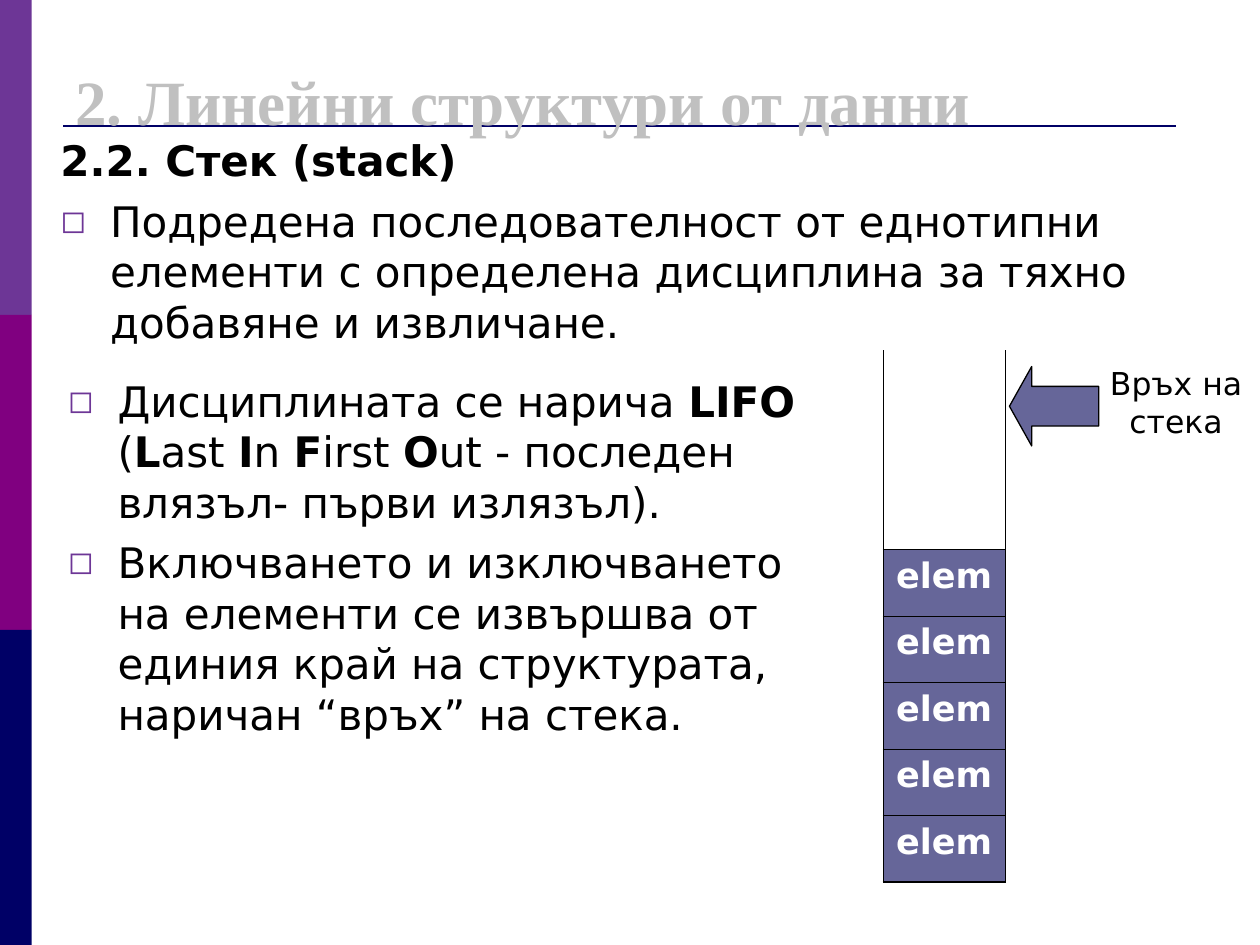
from lxml.etree import SubElement
from pptx import Presentation
from pptx.dml.color import RGBColor
from pptx.enum.shapes import MSO_CONNECTOR, MSO_SHAPE
from pptx.enum.text import PP_ALIGN
from pptx.oxml.ns import qn
from pptx.util import Cm, Pt

PURPLE = RGBColor(0x6D, 0x36, 0x96)
MAGENTA = RGBColor(0x80, 0x00, 0x80)
NAVY = RGBColor(0x00, 0x00, 0x66)
SILVER = RGBColor(0xC0, 0xC0, 0xC0)
SLATE = RGBColor(0x66, 0x66, 0x99)
BLACK = RGBColor(0, 0, 0)
WHITE = RGBColor(0xFF, 0xFF, 0xFF)

BODY_FONT = "DejaVu Sans"
NO_TABLE_STYLE = "{2D5ABB26-0587-4C30-8999-92F81FD0307C}"

TITLE = "2. Линейни структури от данни"
HEADING = "**2.2. Стек (stack)**"
DEFINITION = ("Подредена последователност от еднотипни елементи "
              "с определена дисциплина за тяхно добавяне и извличане.")
DISCIPLINE = [
    "Дисциплината се нарича **LIFO** (**L**ast **I**n **F**irst **O**ut"
    " - последен влязъл- първи излязъл).",
    "Включването и изключването на елементи се извършва от единия край "
    "на структурата, наричан “връх” на стека.",
]
STACK = ["", "", "", "elem", "elem", "elem", "elem", "elem"]
TOP_LABEL = ["Връх на", "стека"]
SIDEBAR = [PURPLE, MAGENTA, NAVY]

SLIDE_W, SLIDE_H = 25.4, 19.05
SIDEBAR_W = 0.64
HANG = 1.0
ROW_H = 1.34


def style(run, size, color, bold=False, font=BODY_FONT):
    run.font.size = Pt(size)
    run.font.color.rgb = color
    run.font.bold = bold
    run.font.name = font


def add_text_box(slide, left, top, width, height, wrap=True):
    frame = slide.shapes.add_textbox(Cm(left), Cm(top), Cm(width), Cm(height)).text_frame
    frame.word_wrap = wrap
    return frame


def add_paragraphs(frame, lines, size, bullets=(), space_before=0, align=PP_ALIGN.LEFT):
    for index, line in enumerate(lines):
        paragraph = frame.add_paragraph() if index else frame.paragraphs[0]
        paragraph.alignment = align
        paragraph.space_before = Pt(space_before)
        for part, words in enumerate(line.split("**")):
            if words:
                run = paragraph.add_run()
                run.text = words
                style(run, size, BLACK, bold=part % 2 == 1)
        if index in bullets:
            add_bullet(paragraph)


def add_bullet(paragraph):
    properties = paragraph._p.get_or_add_pPr()
    properties.set("marL", str(Cm(HANG)))
    properties.set("indent", str(-Cm(HANG)))
    color = SubElement(properties, qn("a:buClr"))
    SubElement(color, qn("a:srgbClr"), val=str(PURPLE))
    SubElement(properties, qn("a:buSzPct"), val="75000")
    SubElement(properties, qn("a:buFont"), typeface=BODY_FONT)
    SubElement(properties, qn("a:buChar"), char="◻")


def add_block(slide, preset, left, top, width, height, color):
    block = slide.shapes.add_shape(preset, Cm(left), Cm(top), Cm(width), Cm(height))
    block.shadow.inherit = False
    block.fill.solid()
    block.fill.fore_color.rgb = color
    block.line.fill.background()
    return block


def add_border(cell, side, width):
    border = SubElement(cell._tc.get_or_add_tcPr(), qn(f"a:ln{side}"), w=str(Pt(width)))
    fill = SubElement(border, qn("a:solidFill"))
    SubElement(fill, qn("a:srgbClr"), val=str(BLACK))


def add_stack(slide, left, top, width):
    frame = slide.shapes.add_table(len(STACK), 1, Cm(left), Cm(top), Cm(width),
                                   Cm(ROW_H * len(STACK)))
    table = frame.table
    table.first_row = table.horz_banding = False
    table._tbl.tblPr.find(qn("a:tableStyleId")).text = NO_TABLE_STYLE
    last = len(STACK) - 1
    for index, element in enumerate(STACK):
        table.rows[index].height = Cm(ROW_H)
        cell = table.cell(index, 0)
        add_border(cell, "L", 1.08)
        add_border(cell, "R", 1.08)
        if element:
            add_border(cell, "T", 0.45)
        if index == last or STACK[index + 1]:
            add_border(cell, "B", 1.08 if index == last else 0.45)
        if not element:
            cell.fill.background()
            continue
        cell.fill.solid()
        cell.fill.fore_color.rgb = SLATE
        cell.text_frame.text = element
        paragraph = cell.text_frame.paragraphs[0]
        paragraph.space_before = Pt(5)
        style(paragraph.runs[0], 20, WHITE, bold=True)


def main():
    presentation = Presentation()
    presentation.slide_width, presentation.slide_height = Cm(SLIDE_W), Cm(SLIDE_H)
    slide = presentation.slides.add_slide(presentation.slide_layouts[6])

    band_h = SLIDE_H / len(SIDEBAR)
    for index, color in enumerate(SIDEBAR):
        add_block(slide, MSO_SHAPE.RECTANGLE, 0, index * band_h, SIDEBAR_W, band_h, color)

    rule = slide.shapes.add_connector(MSO_CONNECTOR.STRAIGHT, Cm(1.27), Cm(2.54),
                                      Cm(23.7), Cm(2.54))
    rule.line.color.rgb = NAVY
    rule.line.width = Pt(1.5)
    SubElement(rule._element.spPr, qn("a:effectLst"))

    title = add_text_box(slide, 1.27, 0.84, 22.86, 1.47)
    title.margin_top = Cm(0.43)
    title.text = TITLE
    style(title.paragraphs[0].runs[0], 36, SILVER, bold=True, font="Times New Roman")

    body = add_text_box(slide, 0.97, 2.59, 24.43, 4.85)
    add_paragraphs(body, [HEADING, DEFINITION], 24, bullets=[1], space_before=6)

    add_stack(slide, 17.81, 7.06, 2.46)

    label = add_text_box(slide, 22.12, 7.21, 3.18, 1.78, wrap=False)
    add_paragraphs(label, TOP_LABEL, 18, align=PP_ALIGN.CENTER)

    arrow = add_block(slide, MSO_SHAPE.LEFT_ARROW, 20.35, 7.39, 1.8, 1.6, SLATE)
    arrow.adjustments[0] = 0.5
    arrow.adjustments[1] = 0.28
    arrow.line.color.rgb = BLACK
    arrow.line.width = Pt(0.75)

    discipline = add_text_box(slide, 1.12, 7.44, 15.77, 9.93)
    add_paragraphs(discipline, DISCIPLINE, 24, bullets=[0, 1], space_before=6)

    presentation.save("out.pptx")


if __name__ == "__main__":
    main()
